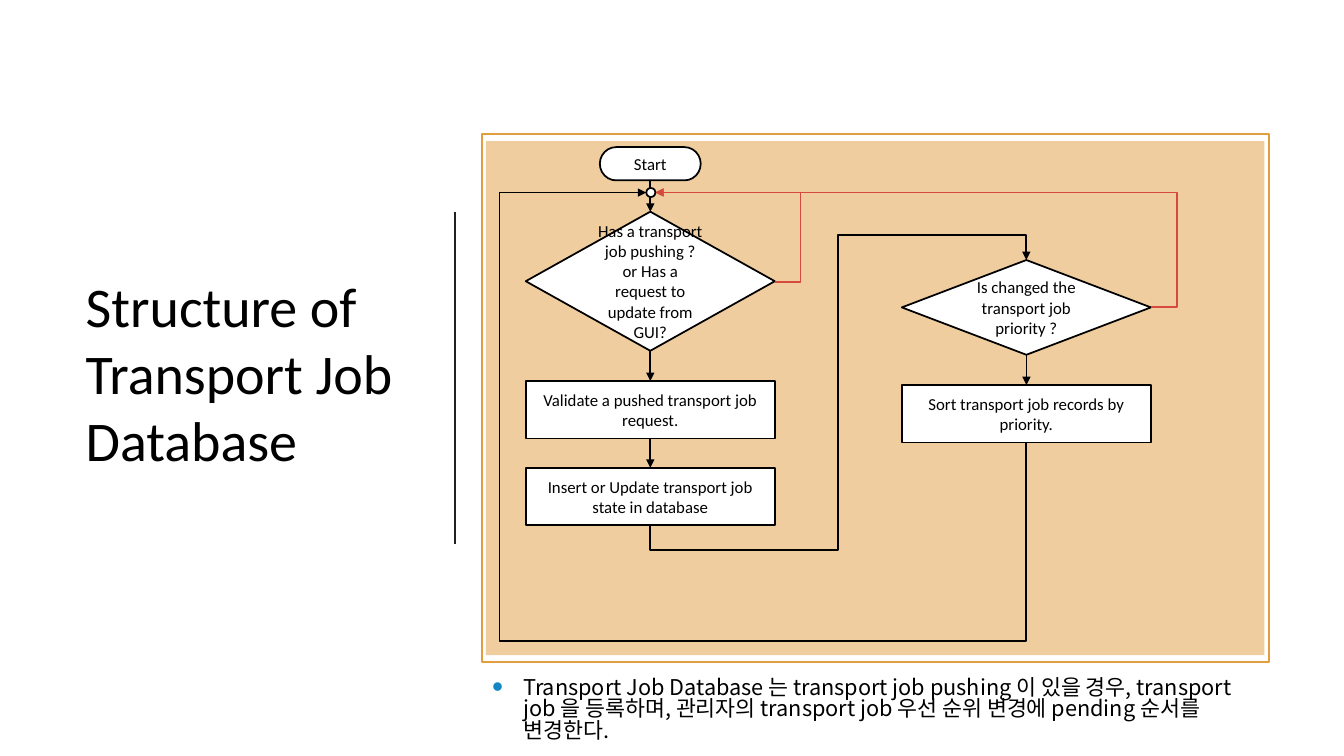
from lxml import etree
from pptx import Presentation
from pptx import util as u
from pptx.dml.color import RGBColor
from pptx.enum import shapes, text
from pptx.oxml import ns

# Content
TITLE = "Structure of Transport Job Database"
BODY = ("Transport Job Database 는 transport job pushing 이 있을 경우, "
        "transport job 을 등록하며, 관리자의 transport job 우선 순위 변경에 "
        "pending 순서를 변경한다.")
LEFT, RIGHT = 6.45, 10.18  # centres of the two flow columns
# name: (preset, column centre, top, width, height, text)
STEPS = {
    "start": ("FLOWCHART_TERMINATOR", LEFT, 1.46, 1, 0.33, "Start"),
    "pushed": ("FLOWCHART_DECISION", LEFT, 2.1, 2.47, 1.38,
               "Has a transport job pushing ? or Has a request to update from GUI?"),
    "validate": ("FLOWCHART_PROCESS", LEFT, 3.78, 2.47, 0.57,
                 "Validate a pushed transport job request."),
    "insert": ("FLOWCHART_PROCESS", LEFT, 4.64, 2.47, 0.57,
               "Insert or Update transport job state in database"),
    "changed": ("FLOWCHART_DECISION", RIGHT, 2.58, 2.47, 0.94,
                "Is changed the transport job priority ?"),
    "sort": ("FLOWCHART_PROCESS", RIGHT, 3.82, 2.47, 0.57,
             "Sort transport job records by priority."),
}
DOWN_ARROWS = [("start", "pushed"), ("pushed", "validate"),
               ("validate", "insert"), ("changed", "sort")]
JUNCTION_Y, JUNCTION_SIZE = 1.91, 0.09
JUNCTION_LEFT, JUNCTION_RIGHT = (6.41, JUNCTION_Y), (6.5, JUNCTION_Y)
# start, end, bends preset, quarter turn, adjustments, colour
ELBOWS = [
    ((7.69, 2.8), JUNCTION_RIGHT, 3, False, [-0.21], "no"),
    ((11.42, 3.05), JUNCTION_RIGHT, 3, False, [-0.051], "no"),
    ((LEFT, 5.21), (RIGHT, 2.58), 5, True, [-0.095, 0.5, 1.095], "ink"),
    ((RIGHT, 4.39), JUNCTION_LEFT, 4, True, [-0.795, 1.386], "ink"),
]
THEME = {
    "ink": "000000", "paper": "FFFFFF", "rule": "212121", "frame": "E29D3E",
    "no": "D64A3B", "bullet": "1287C3",
    "font": "Calibri", "korean": "Noto Sans CJK KR",
    "title": 40, "body": 15.5, "step": 12, "line": 1.25, "rule_line": 1.5,
}


def color(name):
    return RGBColor.from_string(THEME[name])


def write(shape, words, size="step", font="font", align="CENTER", spacing=1.0):
    frame = shape.text_frame
    frame.word_wrap = True
    frame.auto_size = text.MSO_AUTO_SIZE.NONE
    frame.vertical_anchor = text.MSO_ANCHOR.MIDDLE
    paragraph = frame.paragraphs[0]
    paragraph.alignment = getattr(text.PP_ALIGN, align)
    paragraph.line_spacing = spacing
    run = paragraph.add_run()
    run.text = words
    run.font.size = u.Pt(THEME[size])
    run.font.name = THEME[font]
    run.font.color.rgb = color("ink")
    east_asian = etree.SubElement(run.font._element, ns.qn("a:ea"))
    east_asian.set("typeface", THEME[font])
    return paragraph


def place(shape, left, top, width, height):
    shape.left, shape.top = u.Inches(left), u.Inches(top)
    shape.width, shape.height = u.Inches(width), u.Inches(height)


def add_box(slide, preset, left, top, width, height, fill="paper", line="ink"):
    kind = getattr(shapes.MSO_SHAPE, preset)
    shape = slide.shapes.add_shape(kind, *map(u.Inches, (left, top, width, height)))
    shape.shadow.inherit = False
    shape.fill.solid()
    shape.fill.fore_color.rgb = color(fill)
    if line:
        shape.line.color.rgb = color(line)
        shape.line.width = u.Pt(THEME["line"])
    else:
        shape.line.fill.background()
    return shape


def add_line(slide, start, end, kind="STRAIGHT", line="ink", width="line", arrow=True):
    connector = slide.shapes.add_connector(
        getattr(shapes.MSO_CONNECTOR, kind), *map(u.Inches, (*start, *end)))
    connector.line.color.rgb = color(line)
    connector.line.width = u.Pt(THEME[width])
    if arrow:
        tail = etree.SubElement(connector.line._get_or_add_ln(), ns.qn("a:tailEnd"))
        tail.set("type", "triangle")
    etree.SubElement(connector._element.spPr, ns.qn("a:effectLst"))
    return connector


def add_elbow(slide, start, end, bends, turned, adjustments, line):
    if turned:  # unrotated end points of a connector turned by 90 degrees
        middle_x, middle_y = (start[0] + end[0]) / 2, (start[1] + end[1]) / 2
        start, end = [(middle_x + y - middle_y, middle_y - x + middle_x)
                      for x, y in (start, end)]
    connector = add_line(slide, start, end, kind="ELBOW", line=line)
    properties = connector._element.spPr
    if turned:
        properties.find(ns.qn("a:xfrm")).set("rot", str(90 * 60000))
    geometry = properties.find(ns.qn("a:prstGeom"))
    geometry.set("prst", f"bentConnector{bends}")
    guides = geometry.find(ns.qn("a:avLst"))
    if guides is None:
        guides = etree.SubElement(geometry, ns.qn("a:avLst"))
    for number, value in enumerate(adjustments, 1):
        guide = etree.SubElement(guides, ns.qn("a:gd"))
        guide.set("name", f"adj{number}")
        guide.set("fmla", f"val {round(value * 100000)}")


def add_bullet(paragraph):
    properties = paragraph._p.get_or_add_pPr()
    properties.set("marL", str(u.Inches(0.31)))
    properties.set("indent", str(-u.Inches(0.31)))
    bullet_color = etree.SubElement(properties, ns.qn("a:buClr"))
    etree.SubElement(bullet_color, ns.qn("a:srgbClr")).set("val", THEME["bullet"])
    etree.SubElement(properties, ns.qn("a:buSzPct")).set("val", "145000")
    etree.SubElement(properties, ns.qn("a:buFont")).set("typeface", "Arial")
    etree.SubElement(properties, ns.qn("a:buChar")).set("char", "•")


def main():
    presentation = Presentation()
    presentation.slide_width, presentation.slide_height = u.Inches(13.33), u.Inches(7.5)
    slide = presentation.slides.add_slide(presentation.slide_layouts[1])

    # Title, divider and explanation
    title, body = slide.placeholders
    place(title, 0.75, 0.84, 3.47, 5.7)
    write(title, TITLE, size="title", align="LEFT")
    add_line(slide, (4.51, 2.1), (4.51, 5.4), line="rule", width="rule_line", arrow=False)
    place(body, 4.78, 6.66, 7.75, 0.77)
    body.text_frame.margin_right = u.Inches(0.3)
    paragraph = write(body, BODY, size="body", font="korean", align="LEFT", spacing=0.83)
    paragraph.space_before, paragraph.space_after = u.Pt(3), u.Pt(6)
    add_bullet(paragraph)

    # Framed panel with a half transparent fill
    add_box(slide, "RECTANGLE", 4.78, 1.33, 7.81, 5.24, line="frame")
    panel = add_box(slide, "RECTANGLE", 4.82, 1.4, 7.72, 5.1, fill="frame", line=None)
    panel_color = panel._element.spPr.find(ns.qn("a:solidFill"))[0]
    etree.SubElement(panel_color, ns.qn("a:alpha")).set("val", "50000")

    # Flow steps
    steps = {}
    for name, (preset, center, top, width, height, words) in STEPS.items():
        steps[name] = add_box(slide, preset, center - width / 2, top, width, height)
        write(steps[name], words)

    # Arrows between steps, glued bottom to top
    for upper, lower in DOWN_ARROWS:
        arrow = add_line(slide, (0, 0), (1, 1))
        arrow.begin_connect(steps[upper], 2)
        arrow.end_connect(steps[lower], 0)
    for elbow in ELBOWS:
        add_elbow(slide, *elbow)

    # Junction where the loops return
    add_box(slide, "FLOWCHART_CONNECTOR", JUNCTION_LEFT[0],
            JUNCTION_Y - JUNCTION_SIZE / 2, JUNCTION_SIZE, JUNCTION_SIZE)

    presentation.save("out.pptx")


if __name__ == "__main__":
    main()
